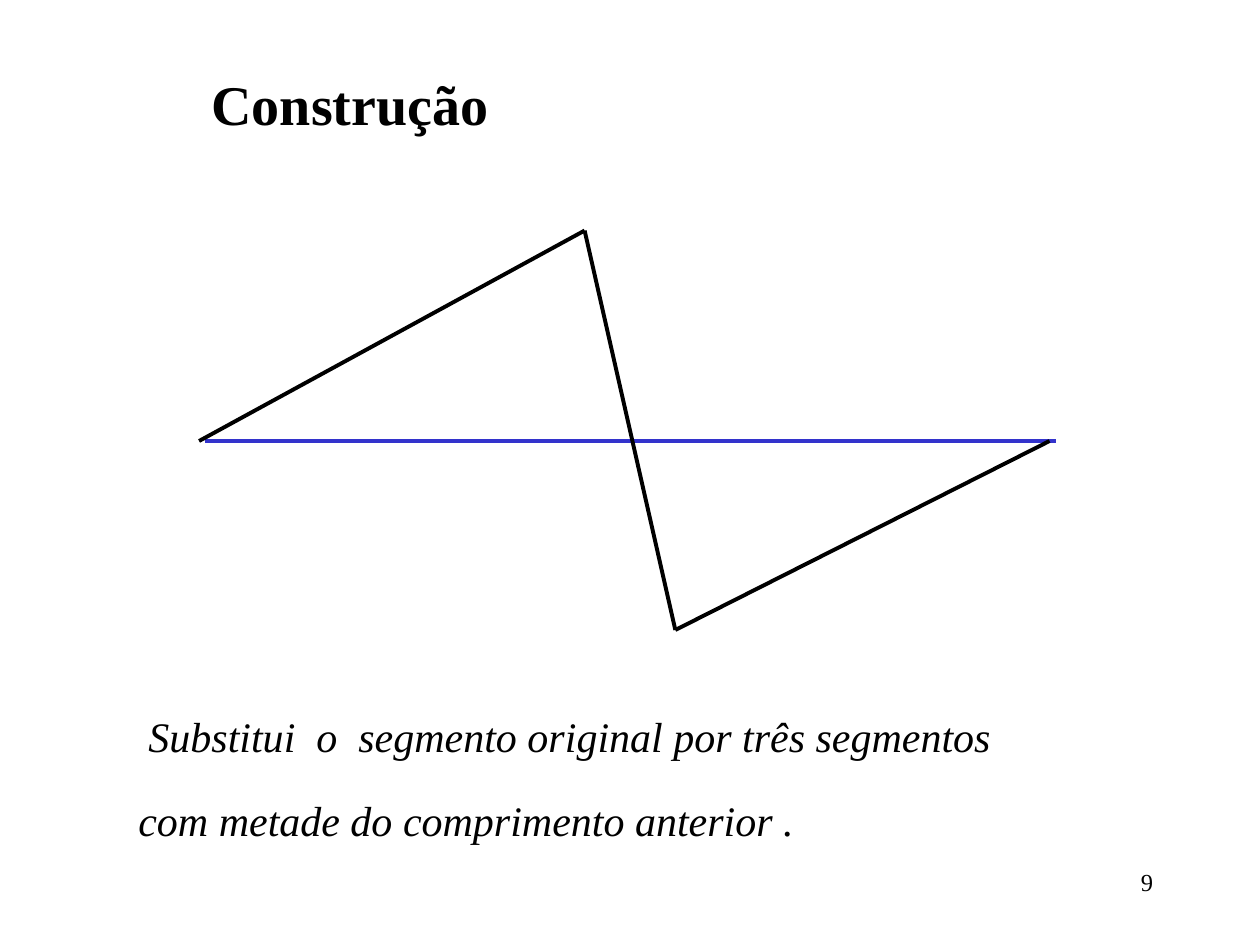
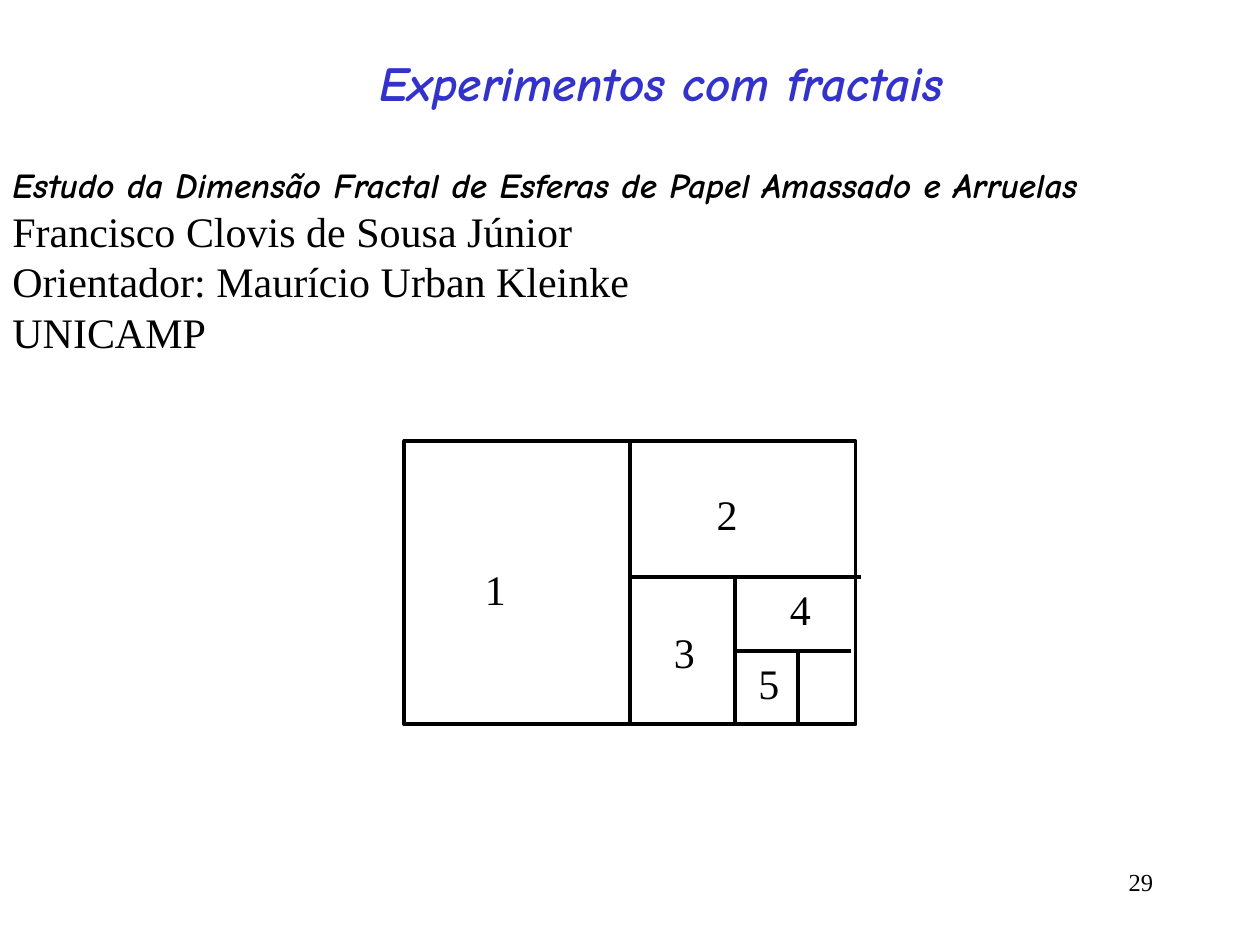
from dataclasses import dataclass
from itertools import pairwise

from pptx import Presentation
from pptx.dml.color import RGBColor
from pptx.enum.shapes import MSO_CONNECTOR, MSO_SHAPE
from pptx.enum.text import PP_ALIGN
from pptx.oxml.ns import qn
from pptx.util import Inches, Pt


@dataclass(frozen=True)
class Theme:
    ink: RGBColor = RGBColor(0x00, 0x00, 0x00)
    accent: RGBColor = RGBColor(0x33, 0x33, 0xCC)
    serif: str = "Times New Roman"
    comic: str = "Comic Neue"
    title: int = 32
    comic_title: int = 28
    body: int = 24
    study: int = 20
    number: int = 14
    line: float = 2.25


THEME = Theme()


def style(paragraph, size=THEME.body, name=THEME.serif, color=THEME.ink,
          bold=False, italic=False):
    font = paragraph.font
    font.size, font.name = Pt(size), name
    font.bold, font.italic = bold, italic
    font.color.rgb = color


def add_text(slide, left, top, width, height, lines, align=PP_ALIGN.LEFT,
             wrap=True, spacing=None, **font):
    box = slide.shapes.add_textbox(Inches(left), Inches(top), Inches(width), Inches(height))
    frame = box.text_frame
    frame.word_wrap = wrap
    frame.text = "\n".join(lines)
    for paragraph in frame.paragraphs:
        paragraph.alignment = align
        if spacing:
            paragraph.line_spacing = Pt(spacing)
        style(paragraph, **font)
    return frame


def add_line(slide, start, end, color=THEME.ink):
    connector = slide.shapes.add_connector(
        MSO_CONNECTOR.STRAIGHT, *(Inches(value) for value in (*start, *end)))
    connector.line.color.rgb = color
    connector.line.width = Pt(THEME.line)
    properties = connector._element.spPr
    properties.append(properties.makeelement(qn("a:effectLst"), {}))


def add_frame(slide, left, top, width, height):
    shape = slide.shapes.add_shape(
        MSO_SHAPE.RECTANGLE, Inches(left), Inches(top), Inches(width), Inches(height))
    shape.shadow.inherit = False
    shape.fill.background()
    shape.line.color.rgb = THEME.ink
    shape.line.width = Pt(THEME.line)


def add_slide(presentation, number):
    slide = presentation.slides.add_slide(presentation.slide_layouts[6])
    add_text(slide, 7.17, 6.83, 2.08, 0.5, [str(number)], PP_ALIGN.RIGHT, size=THEME.number)
    return slide


def build_construction(presentation):
    slide = add_slide(presentation, 9)
    add_text(slide, 1.58, 0.5, 3.08, 0.64, ["Construção"], size=THEME.title, bold=True)
    add_line(slide, (1.63, 3.5), (8.38, 3.5), THEME.accent)
    generator = [(1.58, 3.5), (4.64, 1.83), (5.36, 5), (8.33, 3.5)]
    for start, end in pairwise(generator):
        add_line(slide, start, end)
    frame = add_text(
        slide, 1, 5.32, 7.33, 1.95,
        ["Substitui  o  segmento original por três segmentos "
         "com metade do comprimento anterior ."],
        spacing=48, italic=True)
    frame.paragraphs[0]._p.get_or_add_pPr().set("indent", str(Inches(0.08)))


def build_experiments(presentation):
    slide = add_slide(presentation, 29)
    add_text(slide, 0, 0.37, 10.5, 0.55, ["Experimentos com fractais"], PP_ALIGN.CENTER,
             size=THEME.comic_title, name=THEME.comic, color=THEME.accent,
             bold=True, italic=True)
    study = add_text(
        slide, 0, 1.18, 10, 1.7,
        ["Estudo da Dimensão Fractal de Esferas de Papel Amassado e Arruelas",
         "Francisco Clovis de Sousa Júnior",
         "Orientador: Maurício Urban Kleinke",
         "UNICAMP"],
        spacing=28.8)
    style(study.paragraphs[0], THEME.study, THEME.comic, bold=True, italic=True)

    top, bottom = 3.5, 5.75
    add_frame(slide, 3.21, top, 3.58, bottom - top)
    for x, start in [(5, top), (5.83, 4.58), (6.33, 5.17)]:
        add_line(slide, (x, start), (x, bottom))
    for y, start, end in [(4.58, 5, 6.83), (5.17, 5.83, 6.75)]:
        add_line(slide, (start, y), (end, y))
    label_corners = [(3.75, 4.42), (5.59, 3.83), (5.25, 4.92), (6.17, 4.58), (5.92, 5.17)]
    for number, (left, y) in enumerate(label_corners, start=1):
        add_text(slide, left, y, 0.36, 0.5, [str(number)], PP_ALIGN.CENTER, wrap=False)


def main():
    presentation = Presentation()
    presentation.slide_width, presentation.slide_height = Inches(10), Inches(7.5)
    build_construction(presentation)
    build_experiments(presentation)
    presentation.save("out.pptx")


if __name__ == "__main__":
    main()
